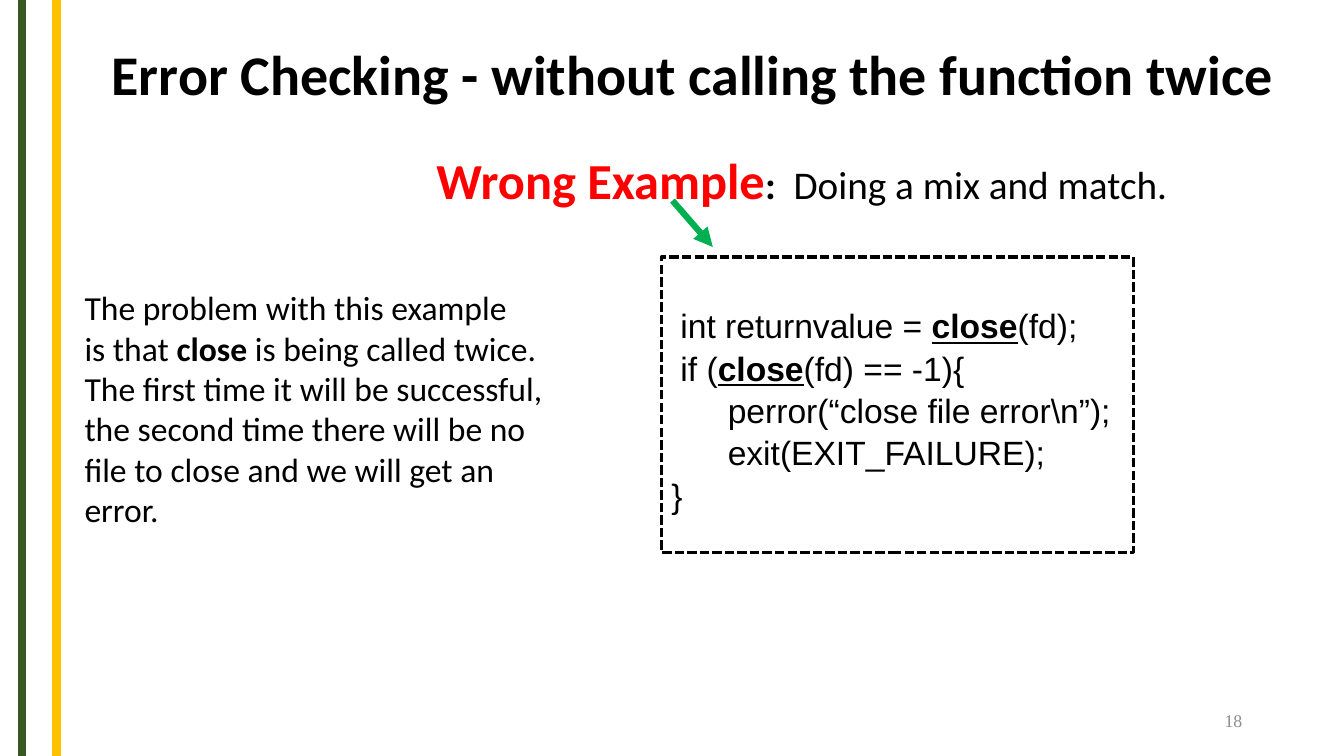
import pptx
import pptx.util
import pptx.dml.color
import pptx.enum.dml
import pptx.enum.shapes
import pptx.enum.text
import pptx.oxml
import pptx.oxml.ns

WIDTH, HEIGHT = 13.33, 7.5
ALIGN = pptx.enum.text.PP_ALIGN
ANCHOR = pptx.enum.text.MSO_ANCHOR
BOLD = {"bold": True}
CALL = {"bold": True, "underline": True}


def inches(*lengths):
    """Convert lengths in inches to slide units."""
    return [pptx.util.Inches(length) for length in lengths]


def rgb(value):
    """Turn a hex string into a colour."""
    return pptx.dml.color.RGBColor.from_string(value)


def add_line(s, start, end, color, width, arrow=False):
    """Draw a straight line, with an arrowhead at its end if asked."""
    line = s.shapes.add_connector(
        pptx.enum.shapes.MSO_CONNECTOR.STRAIGHT, *inches(*start, *end))
    line.line.color.rgb = rgb(color)
    line.line.width = pptx.util.Pt(width)
    if arrow:
        head = pptx.oxml.ns.qn("a:tailEnd")
        line.line._get_or_add_ln().makeelement(head)
        pptx.oxml.xmlchemy.OxmlElement("a:tailEnd")
        end_mark = pptx.oxml.xmlchemy.OxmlElement("a:tailEnd")
        end_mark.set("type", "triangle")
        line.line._get_or_add_ln().append(end_mark)
    line._element.spPr.append(pptx.oxml.xmlchemy.OxmlElement("a:effectLst"))


def write(sp, lines, size, font="Calibri", color="000000", align=ALIGN.LEFT,
          anchor=ANCHOR.TOP, spacing=None, indents=()):
    """Fill a shape with lines, each a list of (text, font settings) runs."""
    tf = sp.text_frame
    tf.word_wrap = True
    tf.vertical_anchor = anchor
    for i, runs in enumerate(lines):
        p = tf.paragraphs[0] if i == 0 else tf.add_paragraph()
        p.alignment = align
        p.line_spacing = spacing
        p.font.name, p.font.size = font, pptx.util.Pt(size)
        p.font.color.rgb = rgb(color)
        if indents:
            p._p.get_or_add_pPr().set("marL", str(inches(indents[i])[0]))
        for text, settings in runs:
            r = p.add_run()
            r.text = text
            for name, value in settings.items():
                if name == "color":
                    r.font.color.rgb = rgb(value)
                else:
                    setattr(r.font, name, value)


def add_text(s, box, lines, size, **style):
    """Add a text box at (left, top, width, height)."""
    write(s.shapes.add_textbox(*inches(*box)), lines, size, **style)


def add_code_box(s, box, lines, indents):
    """Add a dashed frame that holds code."""
    sp = s.shapes.add_shape(
        pptx.enum.shapes.MSO_SHAPE.RECTANGLE, *inches(*box))
    sp.shadow.inherit = False
    sp.fill.background()
    sp.line.color.rgb = rgb("000000")
    sp.line.width = pptx.util.Pt(2.25)
    sp.line.dash_style = pptx.enum.dml.MSO_LINE.SQUARE_DOT
    sp.text_frame.margin_top = pptx.util.Inches(0.46)
    write(sp, lines, 24, font="Arial", spacing=1.05, indents=indents)


def main():
    """Build the slide and save it."""
    prs = pptx.Presentation()
    prs.slide_width, prs.slide_height = inches(WIDTH, HEIGHT)
    s = prs.slides.add_slide(prs.slide_layouts[6])

    for x, color in ((0.22, "385723"), (0.56, "FFC000")):
        add_line(s, (x, 0), (x, HEIGHT), color, 6)

    add_text(s, (1.01, 0.27, 11.83, 1),
             [[("Error Checking - without calling the function twice", BOLD)]],
             40, anchor=ANCHOR.MIDDLE, spacing=0.9)
    add_text(s, (9.42, 6.95, 3, 0.4), [[("18", {})]], 12.7,
             font="Times New Roman", color="8C8C8C", align=ALIGN.RIGHT,
             anchor=ANCHOR.MIDDLE)

    code = [
        [("int returnvalue = ", {}), ("close", CALL), ("(fd);", {})],
        [("if (", {}), ("close", CALL), ("(fd) == -1){", {})],
        [("perror(“close file error\\n”);", {})],
        [("exit(EXIT_FAILURE);", {})],
        [("}", {})],
    ]
    add_code_box(s, (6.56, 2.55, 4.68, 2.93), code,
                 indents=(0.09, 0.09, 0.56, 0.56, 0))

    wrong = {"bold": True, "size": pptx.util.Pt(36), "color": "FF0000"}
    add_text(s, (4.23, 1.43, 8.5, 0.71),
             [[("Wrong Example", wrong), (":  ", BOLD),
               ("Doing a mix and match.", {})]], 28)

    problem = [
        [("The problem with this example", {})],
        [("is that ", {}), ("close", BOLD), (" is being called twice.", {})],
        [("The first time it will be successful,", {})],
        [("the second time there will be no", {})],
        [("file to close and we will get an", {})],
        [("error.", {})],
    ]
    add_text(s, (0.74, 2.8, 4.9, 2.52), problem, 24)
    add_line(s, (6.67, 1.99), (7.07, 2.45), "00B050", 4.5, arrow=True)

    prs.save("out.pptx")


main()
